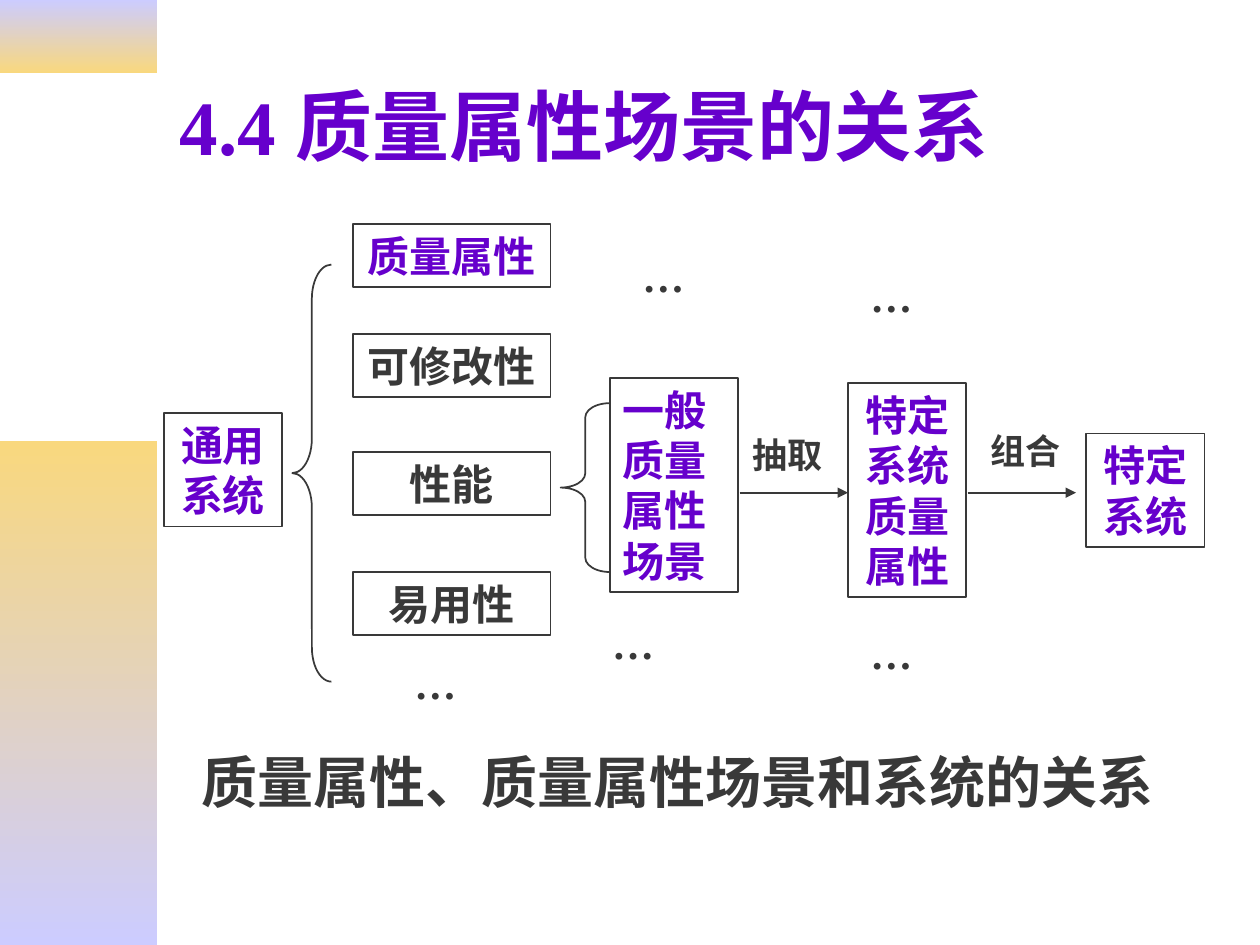
from lxml import etree
from pptx import Presentation
from pptx.dml.color import RGBColor
from pptx.enum.shapes import MSO_CONNECTOR as Link, MSO_SHAPE as Kind
from pptx.enum.text import MSO_ANCHOR as Anchor, PP_ALIGN as Align
from pptx.oxml.ns import qn
from pptx.util import Inches, Pt

COLS, ROWS = 100, 75
UNIT = Inches(0.1)
INK, VIOLET, LILAC, GOLD = "393939", "6600CC", "CCCCFF", "F9D87E"


def paint(code):
    """Turn a hex string into a colour."""
    return RGBColor.from_string(code)


def grid(*cells):
    """Turn grid cells into lengths."""
    return [round(cell * UNIT) for cell in cells]


def inside(box, x, y, w, h):
    """Shift a part by the corner of its region."""
    return box[0] + x, box[1] + y, w, h


def write(shape, text, size=24, color=INK, align=Align.LEFT, anchor=Anchor.TOP):
    """Put one formatted paragraph into a shape."""
    frame = shape.text_frame
    frame.word_wrap = True
    frame.vertical_anchor = anchor
    para = frame.paragraphs[0]
    para.alignment = align
    run = para.add_run()
    run.text = text
    font = run.font
    font.name, font.size, font.bold = "Times New Roman", Pt(size), True
    font.color.rgb = paint(color)


def label(slide, box, text, **style):
    """Add a bare text box."""
    write(slide.shapes.add_textbox(*grid(*box)), text, **style)


def outline(slide, box, kind=Kind.RECTANGLE):
    """Add an unfilled shape with a thin line."""
    shape = slide.shapes.add_shape(kind, *grid(*box))
    shape.shadow.inherit = False
    shape.fill.background()
    shape.line.color.rgb = paint(INK)
    shape.line.width = Pt(1)
    return shape


def node(slide, box, text, color=VIOLET, align=Align.CENTER):
    """Add a framed text."""
    write(outline(slide, box), text, color=color, align=align)


def brace(slide, box, curve):
    """Add a left brace with the given curve."""
    shape = outline(slide, box, Kind.LEFT_BRACE)
    shape.adjustments[0] = curve


def arrow(slide, box):
    """Add a level arrow across the box."""
    x, y, w, h = grid(*box)
    line = slide.shapes.add_connector(Link.STRAIGHT, x, y, x + w, y + h)
    line.line.color.rgb = paint(INK)
    line.line.width = Pt(1)
    tip = etree.SubElement(line.line._get_or_add_ln(), qn("a:tailEnd"))
    tip.set("type", "triangle")
    etree.SubElement(line._element.spPr, qn("a:effectLst"))


def band(slide, box, top, base):
    """Add a block that fades from top to base."""
    shape = slide.shapes.add_shape(Kind.RECTANGLE, *grid(*box))
    shape.shadow.inherit = False
    shape.line.fill.background()
    shape.fill.gradient()
    shape.fill.gradient_angle = 270
    for stop, code, place in zip(shape.fill.gradient_stops, (top, base), (0, 1)):
        stop.color.rgb = paint(code)
        stop.position = place


def margin(slide, box):
    """Draw the two faded blocks at the left edge."""
    wide = box[2]
    band(slide, inside(box, 0, 0, wide, 5.8), LILAC, GOLD)
    band(slide, inside(box, 0, 35, wide, 40), GOLD, LILAC)


def source(slide, box):
    """Draw the general system and its quality attributes."""
    node(slide, inside(box, 0, 15, 9.4, 9), "通用系统")
    brace(slide, inside(box, 10.2, 3.2, 3.1, 33.1), 0.88)
    names = ("质量属性", "可修改性", "性能", "易用性")
    for name, y in zip(names, (0, 8.7, 18.1, 27.6)):
        color = VIOLET if y == 0 else INK
        node(slide, inside(box, 15, y, 15.7, 5), name, color)


def flow(slide, box):
    """Draw the scenes and the steps to a specific system."""
    brace(slide, inside(box, 0, 2, 3.9, 13.4), 0.29)
    node(slide, inside(box, 3.9, 0, 10.2, 17), "一般质量属性场景", align=Align.LEFT)
    node(slide, inside(box, 22.8, 0.4, 9.4, 17), "特定系统质量属性")
    node(slide, inside(box, 41.7, 4.4, 9.4, 9), "特定系统")
    for x, dx, y, step in ((14.2, 0, 3.9, "抽取"), (32.3, 0.8, 3.6, "组合")):
        arrow(slide, inside(box, x, 9.1, 8.6, 0))
        label(slide, inside(box, x + dx, y, 7.9, 4.4), step, size=20)


def dots(slide, box):
    """Mark where each column goes on."""
    spots = ((18.9, 33.9), (37, 1.6), (34.6, 30.7), (55.1, 3.2), (55.1, 31.5))
    for x, y in spots:
        label(slide, inside(box, x, y, 7.9, 5), "…")


def main():
    """Build the slide and save it."""
    deck = Presentation()
    deck.slide_width, deck.slide_height = grid(COLS, ROWS)
    slide = deck.slides.add_slide(deck.slide_layouts[6])
    margin(slide, (0, 0, 12.5, ROWS))
    label(slide, (13.3, 3.3, 85, 13.2), "4.4 质量属性场景的关系",
          size=44, color=VIOLET, anchor=Anchor.MIDDLE)
    label(slide, (15, 58.8, 85, 8.7), "质量属性、质量属性场景和系统的关系", size=32)
    source(slide, (13, 17.8, 30.7, 36.3))
    flow(slide, (44.5, 30, 51.1, 17.4))
    dots(slide, (13, 17.8, 63, 38.9))
    deck.save("out.pptx")


if __name__ == "__main__":
    main()
